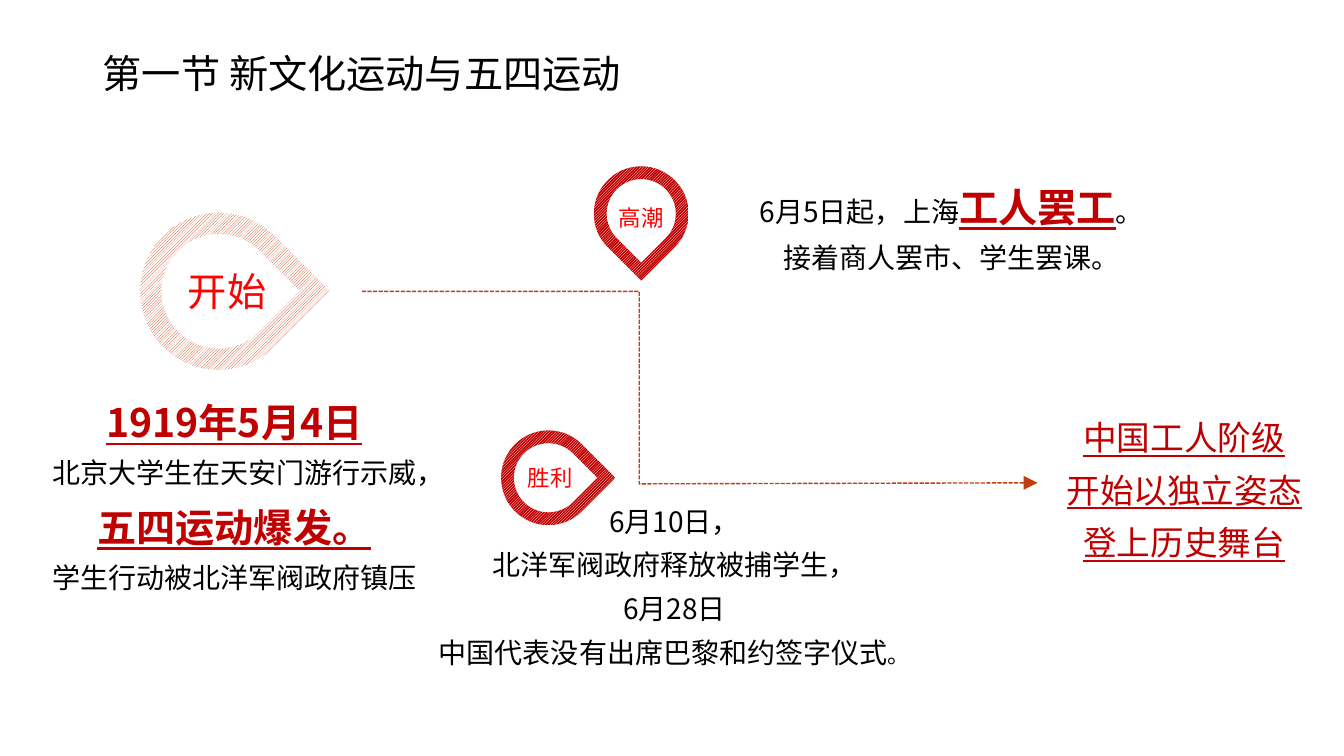
from collections import namedtuple
from math import cos, pi, sin, sqrt, tan

from lxml.etree import SubElement
from pptx import Presentation
from pptx.dml.color import RGBColor
from pptx.enum.dml import MSO_LINE, MSO_PATTERN
from pptx.enum.text import MSO_ANCHOR, MSO_AUTO_SIZE, PP_ALIGN
from pptx.oxml.ns import qn
from pptx.util import Inches, Pt

FONT = "Noto Sans CJK SC"
RED, ORANGE, WHITE = "C00000", "C23C0D", "FFFFFF"
RIGHT, DOWN = 0, pi / 2
ARC_STOPS = (pi / 4, pi / 2, pi, 3 * pi / 2, 7 * pi / 4)

Style = namedtuple("Style", "size color bold underline", defaults=(False, False))
TITLE = Style(28, "000000")
BODY = Style(20, "000000")
SMALL = Style(16, "000000")
KEY = Style(28, RED, True, True)
RESULT = Style(24, RED, False, True)
START_LABEL = Style(28, "FF0000")
STAGE_LABEL = Style(16, "FF0000")


def color(code):
    return RGBColor.from_string(code)


def style_font(font, style):
    font.size = Pt(style.size)
    font.color.rgb = color(style.color)
    font.bold = style.bold
    font.underline = style.underline


def write(frame, lines, spacing=1.3, align=PP_ALIGN.CENTER, insets=(0.1, 0.05, 0.1, 0.05)):
    frame.word_wrap = True
    frame.auto_size = MSO_AUTO_SIZE.NONE
    frame.vertical_anchor = MSO_ANCHOR.MIDDLE
    frame.margin_left, frame.margin_top, frame.margin_right, frame.margin_bottom = map(Inches, insets)
    for index, spans in enumerate(lines):
        para = frame.add_paragraph() if index else frame.paragraphs[0]
        para.alignment = align
        para.line_spacing = spacing
        style_font(para.font, spans[0][1])
        para.font.name = FONT
        SubElement(para._p.pPr.find(qn("a:defRPr")), qn("a:ea"), typeface=FONT)
        for text, style in spans:
            span = para.add_run()
            span.text = text
            if style != spans[0][1]:
                style_font(span.font, style)


def add_title(page, left, top, width, height, text):
    title = page.shapes.title
    title.left, title.top, title.width, title.height = map(Inches, (left, top, width, height))
    write(title.text_frame, [[(text, TITLE)]], spacing=0.9, align=PP_ALIGN.LEFT)


def add_text(page, left, top, width, height, lines, **layout):
    box = page.shapes.add_textbox(*map(Inches, (left, top, width, height)))
    write(box.text_frame, lines, **layout)


def drop_outline(center_x, center_y, radius, direction):
    polar = [(sqrt(2), 0), (1, ARC_STOPS[0])]
    for begin, end in zip(ARC_STOPS, ARC_STOPS[1:]):
        handle = 4 / 3 * tan((end - begin) / 4)
        reach, turn = sqrt(1 + handle ** 2), pi / 2 - (pi / 2 - 0)
        turn = sin_angle(handle)
        polar += [(reach, begin + turn), (reach, end - turn), (1, end)]
    return [
        (
            Inches(center_x + radius * reach * cos(direction + angle)),
            Inches(center_y + radius * reach * sin(direction + angle)),
        )
        for reach, angle in polar
    ]


def sin_angle(handle):
    return complex_angle(1, handle)


def complex_angle(adjacent, opposite):
    from math import atan2
    return atan2(opposite, adjacent)


def bend_segments(segments):
    for first, second, third in zip(*[iter(segments)] * 3):
        first.tag = qn("a:cubicBezTo")
        for segment in (second, third):
            first.append(segment[0])
            segment.getparent().remove(segment)


def add_pin(page, left, top, radius, direction, front, back, label, style, insets):
    center = left + radius, top + radius
    outer = drop_outline(*center, radius, direction)
    inner = drop_outline(*center, radius * 0.73, direction)
    builder = page.shapes.build_freeform(*outer[0])
    builder.add_line_segments(outer[1:])
    builder.move_to(*inner[0])
    builder.add_line_segments(inner[1:])
    pin = builder.convert_to_shape()
    segments = list(pin._element.iter(qn("a:lnTo")))
    half = len(segments) // 2
    bend_segments(segments[1:half])
    bend_segments(segments[half + 1:])
    pin.shadow.inherit = False
    pin.line.fill.background()
    pin.fill.patterned()
    pin.fill.pattern = MSO_PATTERN.DARK_UPWARD_DIAGONAL
    pin.fill.fore_color.rgb = color(front)
    pin.fill.back_color.rgb = color(back)
    write(pin.text_frame, [[(label, style)]], spacing=1, insets=insets)


def add_route(page, left, top, width, height, bend):
    corners = [(0, 0), (bend, 0), (bend, height), (width, height - 0.01)]
    points = [(Inches(left + x), Inches(top + y)) for x, y in corners]
    builder = page.shapes.build_freeform(*points[0])
    builder.add_line_segments(points[1:], close=False)
    route = builder.convert_to_shape()
    route.shadow.inherit = False
    route.fill.background()
    route.line.color.rgb = color(ORANGE)
    route.line.width = Pt(1)
    route.line.dash_style = MSO_LINE.SQUARE_DOT
    SubElement(route._element.spPr.find(qn("a:ln")), qn("a:tailEnd"), type="triangle", w="lg", len="lg")


def add_timeline(page):
    add_route(page, 3.59, 2.89, 6.7, 1.91, 2.75)
    side, below = (0, 0.05, 0.16, 0.05), (0, 0, 0, 0.12)
    add_pin(page, 1.39, 2.11, 0.78, RIGHT, ORANGE, WHITE, "开始", START_LABEL, side)
    add_pin(page, 4.97, 4.27, 0.47, RIGHT, WHITE, RED, "胜利", STAGE_LABEL, side)
    add_pin(page, 5.89, 1.65, 0.47, DOWN, WHITE, RED, "高潮", STAGE_LABEL, below)


def add_descriptions(page):
    outcome = ("中国工人阶级", "开始以独立姿态", "登上历史舞台")
    add_text(page, 10.48, 4.27, 2.53, 1.06, [[(text, RESULT)] for text in outcome], insets=(0, 0, 0, 0))
    add_text(page, 0.32, 4.42, 4.01, 0.87, [
        [("1919年5月4日", KEY)],
        [("北京大学生在天安门游行示威，", BODY), ("五四运动爆发。", KEY)],
        [("学生行动被北洋军阀政府镇压", BODY)],
    ])
    add_text(page, 7.37, 1.77, 4.14, 0.86, [
        [("6月5日起，上海", BODY), ("工人罢工", KEY), ("。接着商人罢市、学生罢课。", BODY)],
    ])
    add_text(page, 4.16, 5.34, 5.06, 0.86, [
        [("6月10日，", BODY)],
        [("北洋军阀政府释放被捕学生，", BODY)],
        [("6月28日", BODY)],
        [("中国代表没有出席巴黎和约签字仪式", BODY), ("。", SMALL)],
    ])


def main():
    deck = Presentation()
    deck.slide_width, deck.slide_height = Inches(13.33), Inches(7.5)
    page = deck.slides.add_slide(deck.slide_layouts[5])
    add_timeline(page)
    add_descriptions(page)
    add_title(page, 0.92, 0.4, 11.5, 0.71, "第一节 新文化运动与五四运动")
    deck.save("out.pptx")


if __name__ == "__main__":
    main()
